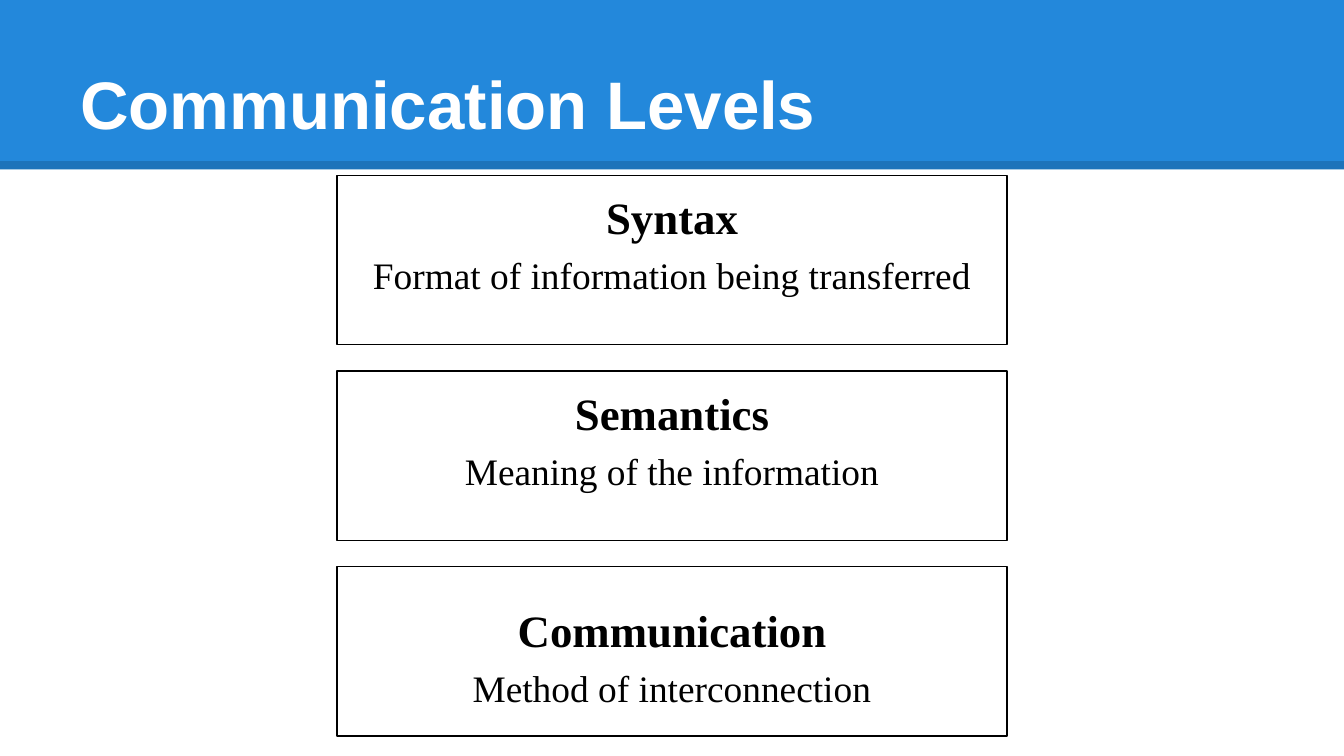
from lxml import etree
from pptx import Presentation
from pptx import util as u
from pptx.dml.color import RGBColor
from pptx.enum import shapes, text
from pptx.oxml.ns import qn

BLUE = RGBColor(0x23, 0x88, 0xDB)
WHITE = RGBColor(0xFF, 0xFF, 0xFF)
BLACK = RGBColor(0, 0, 0)

SLIDE_W, SLIDE_H = 720, 405
BAND_H = 90.75
BOX_W, BOX_H = 359, 90.75
BOX_TOP, BOX_PITCH = 94, 104.75
INSET, DEEP_INSET = 3.6, 27

LEVELS = [
    ("Syntax", "Format of information being transferred", DEEP_INSET),
    ("Semantics", "Meaning of the information", DEEP_INSET),
    ("Communication", "Method of interconnection", INSET),
]


def style(p, font, size, color, bold):
    f = p.runs[0].font
    f.name, f.size, f.bold = font, u.Pt(size), bold
    f.color.rgb = color


def add_rect(s, x, y, w, h, fill, line=None):
    sp = s.shapes.add_shape(shapes.MSO_SHAPE.RECTANGLE,
                            u.Pt(x), u.Pt(y), u.Pt(w), u.Pt(h))
    sp.shadow.inherit = False
    sp.fill.solid()
    sp.fill.fore_color.rgb = fill
    if line is None:
        sp.line.fill.background()
    else:
        sp.line.color.rgb = line
        sp.line.width = u.Pt(0.75)
    return sp


def add_band_edge(s, y):
    edge = s.shapes.add_connector(shapes.MSO_CONNECTOR.STRAIGHT,
                                  0, u.Pt(y), u.Pt(SLIDE_W), u.Pt(y))
    edge.line.color.rgb = BLACK
    edge.line.width = u.Pt(4.5)
    spPr = edge.element.spPr
    color = next(spPr.iter(qn("a:srgbClr")))
    etree.SubElement(color, qn("a:alpha"), val="15000")
    etree.SubElement(spPr, qn("a:effectLst"))


def add_title(s, title):
    tf = s.shapes.add_textbox(u.Pt(36), u.Pt(16.25), u.Pt(648), u.Pt(67.5)).text_frame
    tf.word_wrap = True
    tf.vertical_anchor = text.MSO_ANCHOR.BOTTOM
    tf.margin_left = tf.margin_right = tf.margin_top = tf.margin_bottom = u.Pt(7.2)
    tf.text = title
    style(tf.paragraphs[0], "Arial", 36, WHITE, True)


def add_level(s, y, name, description, bottom_inset):
    sp = add_rect(s, (SLIDE_W - BOX_W) / 2, y, BOX_W, BOX_H, WHITE, BLACK)
    tf = sp.text_frame
    tf.word_wrap = True
    tf.vertical_anchor = text.MSO_ANCHOR.MIDDLE
    tf.margin_left = tf.margin_right = u.Pt(7.2)
    tf.margin_top, tf.margin_bottom = u.Pt(INSET), u.Pt(bottom_inset)
    tf.text = f"{name}\n{description}"
    for p, size, bold in zip(tf.paragraphs, (24, 20), (True, False)):
        p.alignment = text.PP_ALIGN.CENTER
        p.line_spacing = 1.2
        style(p, "Times New Roman", size, BLACK, bold)


def main():
    prs = Presentation()
    prs.slide_width, prs.slide_height = u.Pt(SLIDE_W), u.Pt(SLIDE_H)
    s = prs.slides.add_slide(prs.slide_layouts[6])
    add_rect(s, 0, 0, SLIDE_W, BAND_H, BLUE)
    add_band_edge(s, 88.5)
    add_title(s, "Communication Levels")
    for i, level in enumerate(LEVELS):
        add_level(s, BOX_TOP + i * BOX_PITCH, *level)
    prs.save("out.pptx")


if __name__ == "__main__":
    main()
